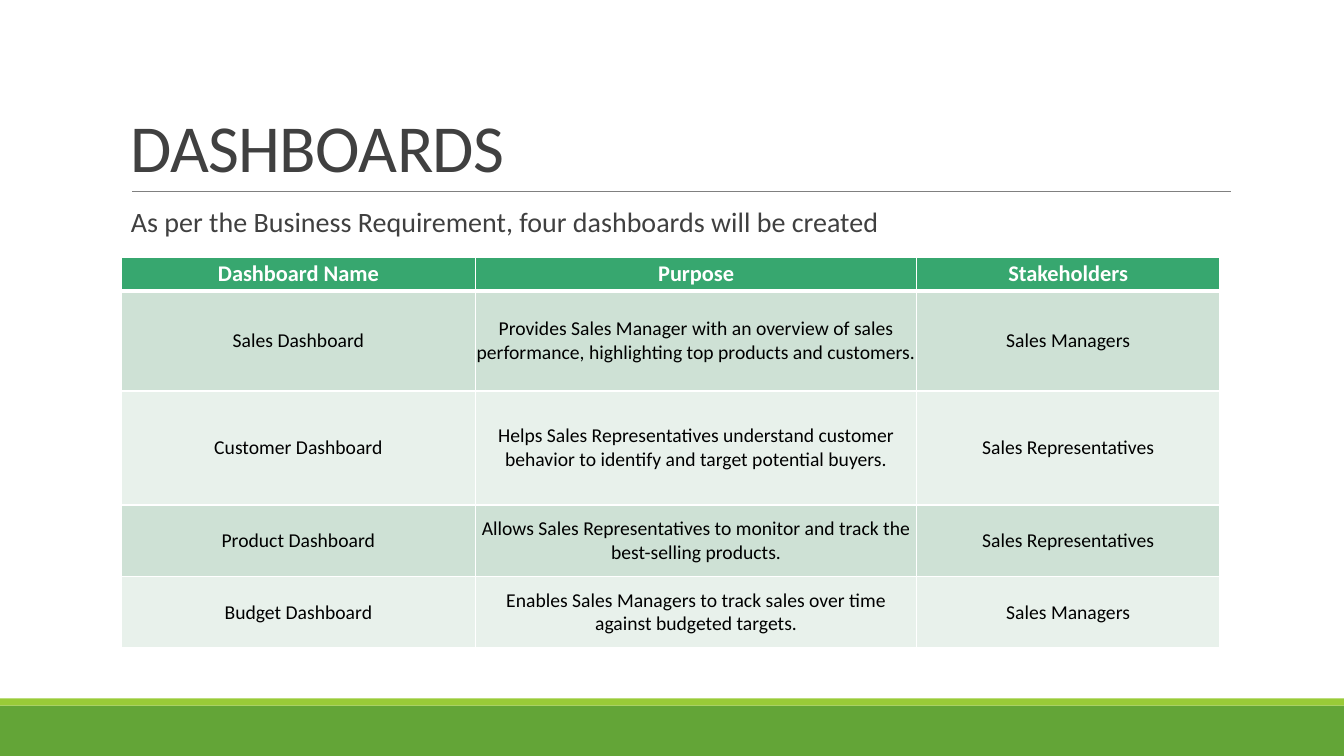
from lxml import etree
from pptx import Presentation
from pptx.dml.color import RGBColor
from pptx.enum.shapes import MSO_CONNECTOR, MSO_SHAPE
from pptx.enum.text import MSO_ANCHOR, PP_ALIGN
from pptx.oxml.ns import qn
from pptx.util import Inches, Pt

# Content
TITLE = "DASHBOARDS"
INTRO = "As per the Business Requirement, four dashboards will be created"
ROWS = [
    ("Dashboard Name", "Purpose", "Stakeholders"),
    ("Sales Dashboard",
     "Provides Sales Manager with an overview of sales performance, "
     "highlighting top products and customers.",
     "Sales Managers"),
    ("Customer Dashboard",
     "Helps Sales Representatives understand customer behavior to identify "
     "and target potential buyers.",
     "Sales Representatives"),
    ("Product Dashboard",
     "Allows Sales Representatives to monitor and track the best-selling products.",
     "Sales Representatives"),
    ("Budget Dashboard",
     "Enables Sales Managers to track sales over time against budgeted targets.",
     "Sales Managers"),
]
COL_WIDTHS = [3.52, 4.37, 3.01]
ROW_HEIGHTS = [0.34, 0.99, 1.13, 0.71, 0.71]

# Style
FONT = "Calibri"
WHITE = RGBColor(0xFF, 0xFF, 0xFF)
BLACK = RGBColor(0x00, 0x00, 0x00)
DARK = RGBColor(0x40, 0x40, 0x40)
GRAY = RGBColor(0x80, 0x80, 0x80)
GREEN = RGBColor(0x63, 0xA5, 0x37)
LIME = RGBColor(0x99, 0xCB, 0x38)
HEADER = RGBColor(0x37, 0xA7, 0x6F)
BANDS = [RGBColor(0xE8, 0xF1, 0xEB), RGBColor(0xCE, 0xE1, 0xD5)]
RECT, STRAIGHT = MSO_SHAPE.RECTANGLE, MSO_CONNECTOR.STRAIGHT
TOP, MIDDLE, BOTTOM = MSO_ANCHOR.TOP, MSO_ANCHOR.MIDDLE, MSO_ANCHOR.BOTTOM
CENTER = PP_ALIGN.CENTER
SLIDE_W, SLIDE_H, LEFT, WIDTH = 13.33, 7.5, 1.2, 11


def add_run(p, text, size, color, bold=False):
    r = p.add_run()
    r.text = text
    r.font.name, r.font.size, r.font.bold = FONT, Pt(size), bold
    r.font.color.rgb = color
    return r


def add_text(slide, text, top, height, size, anchor, spacing):
    box = slide.shapes.add_textbox(Inches(LEFT), Inches(top), Inches(WIDTH), Inches(height))
    tf = box.text_frame
    tf.word_wrap = True
    tf.vertical_anchor = anchor
    p = tf.paragraphs[0]
    p.line_spacing = spacing
    return p, add_run(p, text, size, DARK)


def add_band(slide, top, height, color):
    sp = slide.shapes.add_shape(RECT, 0, Inches(top), Inches(SLIDE_W), Inches(height))
    sp.shadow.inherit = False
    sp.fill.solid()
    sp.fill.fore_color.rgb = color
    sp.line.fill.background()


def set_borders(cell, top, bottom):
    tcPr = cell._tc.get_or_add_tcPr()
    edges = [("a:lnL", 1), ("a:lnR", 1), ("a:lnT", top), ("a:lnB", bottom)]
    for i, (tag, width) in enumerate(edges):
        ln = etree.Element(qn(tag), w=str(Pt(width)))
        fill = etree.SubElement(ln, qn("a:solidFill"))
        etree.SubElement(fill, qn("a:srgbClr"), val=str(WHITE))
        tcPr.insert(i, ln)


def add_dashboard_table(slide):
    frame = slide.shapes.add_table(len(ROWS), len(COL_WIDTHS), Inches(LEFT), Inches(2.55),
                                   Inches(sum(COL_WIDTHS)), Inches(sum(ROW_HEIGHTS)))
    table = frame.table
    for col, width in zip(table.columns, COL_WIDTHS):
        col.width = Inches(width)
    for i, (height, texts) in enumerate(zip(ROW_HEIGHTS, ROWS)):
        table.rows[i].height = Inches(height)
        header = i == 0
        for j, text in enumerate(texts):
            cell = table.cell(i, j)
            cell.margin_left = cell.margin_right = cell.margin_top = cell.margin_bottom = 0
            cell.vertical_anchor = MIDDLE
            cell.fill.solid()
            cell.fill.fore_color.rgb = HEADER if header else BANDS[i % 2]
            set_borders(cell, top=3 if i == 1 else 1, bottom=3 if header else 1)
            p = cell.text_frame.paragraphs[0]
            p.alignment = CENTER
            add_run(p, text, 16 if header else 14, WHITE if header else BLACK, header)


def main():
    prs = Presentation()
    prs.slide_width, prs.slide_height = Inches(SLIDE_W), Inches(SLIDE_H)
    slide = prs.slides.add_slide(prs.slide_layouts[6])

    # Footer bands and title rule
    add_band(slide, 7, 0.5, GREEN)
    add_band(slide, 6.93, 0.07, LIME)
    rule = slide.shapes.add_connector(STRAIGHT, Inches(1.31), Inches(1.9),
                                      Inches(12.21), Inches(1.9))
    rule.line.color.rgb = GRAY
    rule.line.width = Pt(0.5)
    etree.SubElement(rule._element.spPr, qn("a:effectLst"))

    # Title and introduction
    p, r = add_text(slide, TITLE, 0.31, 1.59, 48, BOTTOM, 0.85)
    r.font._element.set("spc", "-50")
    p, r = add_text(slide, INTRO, 2.02, 0.5, 20, TOP, 0.9)
    p.space_before, p.space_after = Pt(12), Pt(2)

    # Dashboards
    add_dashboard_table(slide)
    prs.save("out.pptx")


if __name__ == "__main__":
    main()
